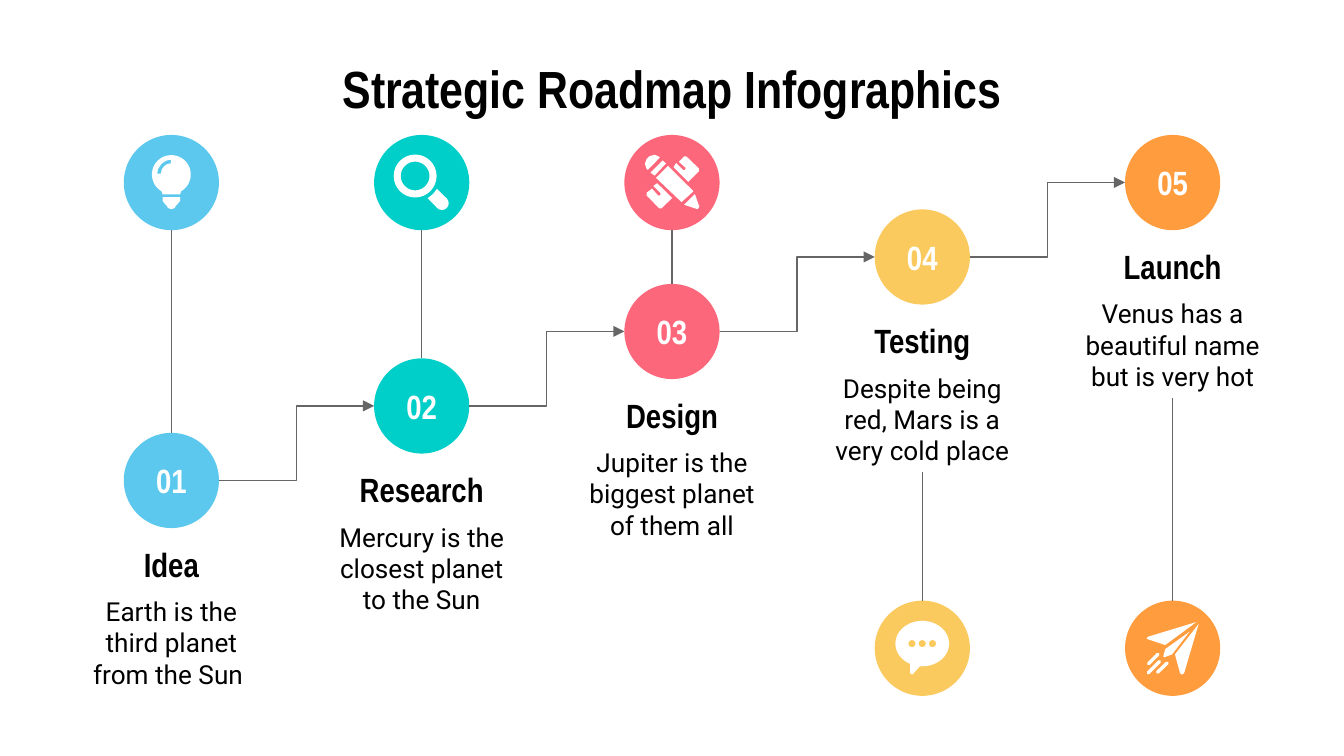
from math import ceil, cos, radians, sin, tan

from lxml import etree
from pptx import Presentation
from pptx.dml.color import RGBColor
from pptx.enum.shapes import MSO_CONNECTOR as Link, MSO_SHAPE as Shape
from pptx.enum.text import MSO_ANCHOR as Anchor, PP_ALIGN as Align
from pptx.oxml.ns import qn
from pptx.util import Pt

BLACK = RGBColor(0x00, 0x00, 0x00)
WHITE = RGBColor(0xFF, 0xFF, 0xFF)
GRAY = RGBColor(0x66, 0x66, 0x66)
BLUE = RGBColor(0x5C, 0xC8, 0xEE)
TEAL = RGBColor(0x00, 0xCE, 0xC8)
PINK = RGBColor(0xFD, 0x67, 0x7B)
YELLOW = RGBColor(0xFB, 0xCA, 0x5F)
ORANGE = RGBColor(0xFF, 0x9C, 0x3E)

HEADING, BODY = "Arial Narrow", "Roboto"
BADGE = 51
COLUMN_LEFT, COLUMN_WIDTH, COLUMN_STEP = 36, 111.6, 134.1
UPPER_ROW, LOWER_ROW, RISE = 72.3, 321.8, 39.9
BODY_TOP, BODY_HEIGHT = 83.8, 57


def arc(x, y, rx, ry, start=0, end=360):
    count = ceil(abs(end - start) / 90)
    turn = radians(end - start) / count
    pull = 4 / 3 * tan(turn / 4)

    def point(angle, reach=0):
        return (x + rx * (cos(angle) - reach * sin(angle)),
                y + ry * (sin(angle) + reach * cos(angle)))

    angles = [radians(start) + turn * i for i in range(count + 1)]
    curves = [(point(a, pull), point(b, -pull), point(b)) for a, b in zip(angles, angles[1:])]
    return [point(angles[0])] + curves


def streak(x1, y1, x2, y2):
    return arc(x2, y2, 0.9, 0.9, -135, 45) + arc(x1, y1, 0.9, 0.9, 45, 225)


BULB = [
    [arc(25.5, 21.2, 10.4, 10.4, 120, 420) + [(30.2, 31.9), (20.8, 31.9)],
     arc(25.5, 20.8, 7.5, 7.5, 180, 268) + arc(25.5, 20.8, 5.6, 5.6, 268, 180)],
    [[(20.8, 33.3), (30.2, 33.3), (30.2, 35.4), (28.2, 37.8)]
     + arc(25.5, 37.6, 2.6, 2.2, 0, 180) + [(22.8, 37.8), (20.8, 35.4)]],
]
MAGNIFIER = [
    [[(28.7, 33.9), (31.6, 31.6), (33.7, 28.9)] + arc(36.4, 36.6, 3.6, 3.6, -45, 135)],
    [arc(22, 22, 11.5, 11.5), arc(22, 22, 7.7, 7.7)],
]
PENCIL_AND_RULER = [
    [[(20.5, 13.7), (14, 20.2), (16.2, 21.8), (22.3, 15.3)]],
    [[(32, 11.5), (29.2, 14.4), (32.8, 17.6), (32.6, 18.7), (31.4, 18.7), (27.7, 15.1),
      (26.3, 17.3), (34.2, 25.2), (40, 19.4), (40, 18), (33.2, 11.5)]],
    [[(23.4, 16.6), (16.9, 23), (30.6, 36), (37, 30.2)]],
    [[(37.8, 31.7), (32, 37.4), (39.2, 39.8), (40.2, 38.6)]],
    [[(17.6, 25.9), (15.5, 27.4), (19.4, 31.2), (19.2, 32.4), (18, 32.4), (14.8, 28.8),
      (11.9, 31), (11.9, 32.4), (18.7, 39.4), (19.9, 39.4), (25.6, 33.8)]],
    [[(16.2, 10.6), (13.3, 11.5), (11.9, 13), (11, 15.5), (11.9, 18),
      (12.6, 18.7), (19, 12.2), (18.4, 11.5)]],
]
SPEECH_BUBBLE = [
    [arc(25.5, 23, 14.4, 12.2, 117, 455) + [(20.3, 39.5), (19.1, 39.2)]]
    + [arc(x, 23, 2, 2) for x in (20, 25.5, 31)],
]
PAPER_PLANE = [
    [[(38.2, 11.5), (12.2, 19.4), (11.6, 20.5), (21.6, 23.8)]],
    [[(34.6, 16.6), (21.6, 25.9), (20.5, 29.8), (20.9, 30.4), (25.2, 28.8)]],
    [[(39.5, 12.4), (26.8, 28.8), (29.5, 38.9), (30.6, 39.6), (31.7, 38.9)]],
    [streak(12.6, 33.8, 17.6, 28.8)],
    [streak(17.4, 38.4, 22.6, 33.4)],
    [streak(12.4, 38.7, 18.4, 32.6)],
]

STEPS = [
    ("Idea", "Earth is the third planet from the Sun ", BLUE, BULB, True),
    ("Research", "Mercury is the closest planet to the Sun", TEAL, MAGNIFIER, True),
    ("Design", "Jupiter is the biggest planet of them all", PINK, PENCIL_AND_RULER, True),
    ("Testing", "Despite being red, Mars is a very cold place", YELLOW, SPEECH_BUBBLE, False),
    ("Launch", "Venus has a beautiful name but is very hot", ORANGE, PAPER_PLANE, False),
]


def write(box, text, size, font, color, bold=False):
    frame = box.text_frame
    frame.text = text
    frame.word_wrap = True
    frame.vertical_anchor = Anchor.MIDDLE
    frame.margin_left = frame.margin_right = Pt(7.2)
    frame.margin_top = frame.margin_bottom = Pt(7.2)
    para = frame.paragraphs[0]
    para.alignment = Align.CENTER
    span = para.runs[0]
    span.font.size, span.font.name, span.font.bold = Pt(size), font, bold
    span.font.color.rgb = color


def add_text(page, left, top, width, height, *style):
    box = page.shapes.add_textbox(Pt(left), Pt(top), Pt(width), Pt(height))
    write(box, *style)
    return box


def paint(shape, color):
    shape.shadow.inherit = False
    shape.fill.solid()
    shape.fill.fore_color.rgb = color
    shape.line.fill.background()


def add_badge(page, left, top, color):
    badge = page.shapes.add_shape(Shape.OVAL, Pt(left), Pt(top), Pt(BADGE), Pt(BADGE))
    paint(badge, color)
    return badge


def bend(shape, curve_flags):
    lines = iter(list(shape._element.iter(qn("a:lnTo"))))
    for is_curve in curve_flags:
        line = next(lines)
        if is_curve:
            line.addprevious(curve := etree.Element(qn("a:cubicBezTo")))
            for part in (line, next(lines), next(lines)):
                curve.append(part[0])
                part.getparent().remove(part)


def add_piece(page, left, top, contours):
    builder, curve_flags = None, []
    for first, *segments in contours:
        flags = [isinstance(segment[0], tuple) for segment in segments]
        points = [first]
        for segment, is_curve in zip(segments, flags):
            points.extend(segment if is_curve else [segment])
        start, *rest = [(Pt(left + x), Pt(top + y)) for x, y in points]
        if builder:
            builder.move_to(*start)
        else:
            builder = page.shapes.build_freeform(*start)
        builder.add_line_segments(rest, close=True)
        curve_flags += flags
    piece = builder.convert_to_shape()
    bend(piece, curve_flags)
    paint(piece, WHITE)


def add_icon(page, left, top, color, pieces):
    badge = add_badge(page, left, top, color)
    for contours in pieces:
        add_piece(page, left, top, contours)
    return badge


def add_link(page, kind, x1, y1, x2, y2):
    link = page.shapes.add_connector(kind, Pt(x1), Pt(y1), Pt(x2), Pt(y2))
    link.line.color.rgb = GRAY
    link.line.width = Pt(0.75)
    if kind == Link.ELBOW:
        etree.SubElement(link.line._get_or_add_ln(), qn("a:tailEnd"), type="triangle")
    etree.SubElement(link._element.spPr, qn("a:effectLst"))
    return link


def add_step(page, left, top, number, name, description, color, pieces, icon_above):
    badge_left = left + (COLUMN_WIDTH - BADGE) / 2
    center = left + COLUMN_WIDTH / 2
    body_top = top + BODY_TOP
    add_text(page, left, top + 57, COLUMN_WIDTH, 26, name, 18, HEADING, BLACK, True)
    body = add_text(page, left, body_top, COLUMN_WIDTH, BODY_HEIGHT, description, 14, BODY, BLACK)
    badge = add_badge(page, badge_left, top, color)
    write(badge, f"{number:02}", 18, HEADING, WHITE, True)
    if icon_above:
        add_icon(page, badge_left, UPPER_ROW, color, pieces)
        link = add_link(page, Link.STRAIGHT, center, UPPER_ROW + BADGE, center, top)
        link.end_connect(badge, 0)
    else:
        icon = add_icon(page, badge_left, LOWER_ROW, color, pieces)
        link = add_link(page, Link.STRAIGHT, center, LOWER_ROW, center, body_top + BODY_HEIGHT)
        link.begin_connect(icon, 0)
        link.end_connect(body, 2)


def add_roadmap(page, left, top):
    last = len(STEPS) - 1
    for index, step in enumerate(STEPS):
        step_left = left + COLUMN_STEP * index
        step_top = top + RISE * (last - index)
        add_step(page, step_left, step_top, index + 1, *step)
        if index < last:
            start = step_left + (COLUMN_WIDTH + BADGE) / 2
            middle = step_top + BADGE / 2
            end = start + COLUMN_STEP - BADGE
            add_link(page, Link.ELBOW, start, middle, end, middle - RISE)


def main():
    deck = Presentation()
    deck.slide_width, deck.slide_height = Pt(720), Pt(405)
    page = deck.slides.add_slide(deck.slide_layouts[6])
    add_text(page, 36, 32.4, 648, 29.5, "Strategic Roadmap Infographics", 28, HEADING, BLACK, True)
    add_roadmap(page, COLUMN_LEFT, UPPER_ROW)
    deck.save("out.pptx")


if __name__ == "__main__":
    main()
